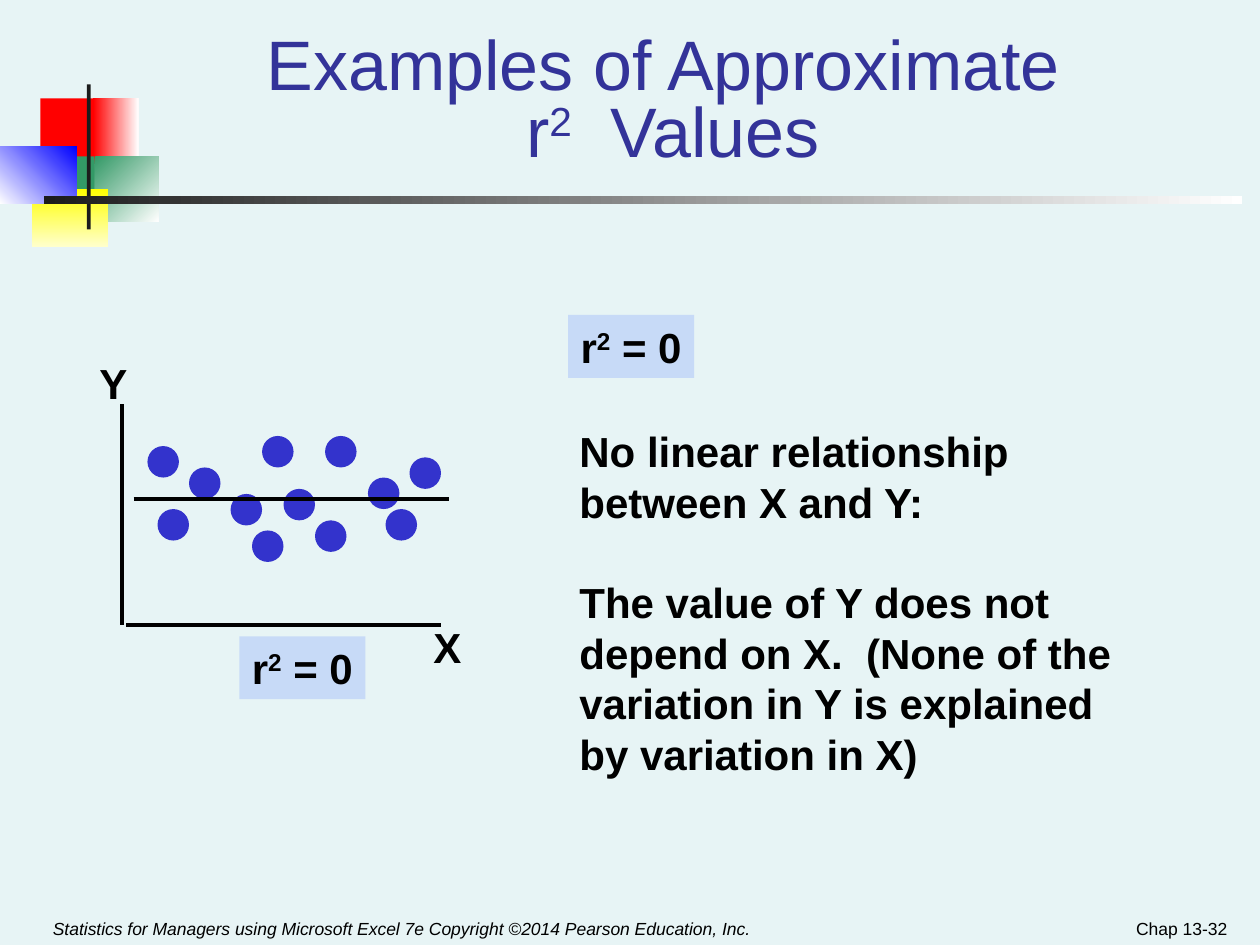
from pptx import Presentation
from pptx.dml.color import RGBColor
from pptx.enum.shapes import MSO_CONNECTOR, MSO_SHAPE
from pptx.enum.text import MSO_ANCHOR, PP_ALIGN
from pptx.oxml.ns import qn
from pptx.util import Emu, Pt
from lxml.etree import SubElement

PX = 9144
FONT = "Arial"
C = {
    "bg": "E7F4F5", "title": "333399", "text": "000000", "label": "C7DAF7",
    "dot": "3333CC", "red": "FF0000", "green": "339966", "yellow": "FFFF00",
    "cream": "FFFFCC", "blue": "0000FF", "dark": "1C1C1C", "white": "FFFFFF",
}

TITLE = [["Examples of Approximate "], ["r", "^2", "  Values"]]
R_SQUARED = ["r", "^2", " = 0"]
EXPLANATION = [
    ["No linear relationship between X and Y:"],
    ["The value of Y does not depend on X.  (None of the variation in Y "
     "is explained by variation in X)"],
]
FOOTER = ("Statistics for Managers using Microsoft Excel 7e "
          "Copyright ©2014 Pearson Education, Inc.")
PAGE = "Chap 13-32"

DECOR = [
    ((32, 78, 48, 52), ["red"], 0),
    ((74, 78, 36, 52), ["red", "white"], 0),
    ((75, 124, 51, 52), ["green", "white"], 45),
    ((43, 124, 32, 52), ["green"], 0),
    ((25, 150, 61, 46), ["yellow", "cream"], 90),
    ((0, 116, 61, 46), ["white", "blue"], 315),
    ((69, 67, 3, 115), ["dark"], 0),
    ((35, 156, 951, 6), ["dark", "white"], 0),
]
DOT_SIZE = 25
DOTS = [(125, 404), (325, 363), (292, 379), (250, 413), (258, 346), (208, 346),
        (117, 354), (150, 371), (183, 392), (225, 388), (200, 421), (306, 404)]
LINES = [(97, 321, 97, 496), (100, 496, 350, 496), (106, 396, 356, 396)]
AXIS_LABELS = [("Y", (69, 279, 42, 50)), ("X", (334, 488, 42, 50))]
VALUE_LABELS = [(451, 250, 100, 50), (190, 505, 100, 50)]


def px(*values):
    return [Emu(v * PX) for v in values]


def rgb(name):
    return RGBColor.from_string(C[name])


def add_filled(s, kind, box, colors, angle=0):
    sp = s.shapes.add_shape(kind, *px(*box))
    sp.shadow.inherit = False
    sp.line.fill.background()
    if len(colors) == 1:
        sp.fill.solid()
        sp.fill.fore_color.rgb = rgb(colors[0])
    else:
        sp.fill.gradient()
        sp.fill.gradient_angle = (360 - angle) % 360
        for stop, name, at in zip(sp.fill.gradient_stops, colors, (0, 1)):
            stop.color.rgb = rgb(name)
            stop.position = at
    return sp


def add_line(s, ends):
    line = s.shapes.add_connector(MSO_CONNECTOR.STRAIGHT, *px(*ends))
    line.line.color.rgb = rgb("text")
    line.line.width = Pt(2)
    SubElement(line._element.spPr, qn("a:effectLst"))


def add_runs(p, texts, size, color="text", bold=False, italic=False):
    for text in texts:
        r = p.add_run()
        r.text = text.lstrip("^")
        r.font.name, r.font.size = FONT, Pt(size)
        r.font.bold, r.font.italic = bold, italic
        r.font.color.rgb = rgb(color)
        if text.startswith("^"):
            r._r.get_or_add_rPr().set("baseline", "30000")


def set_frame(tf, side, anchor=MSO_ANCHOR.TOP, wrap=True):
    tf.margin_left, tf.margin_right, tf.margin_top, tf.margin_bottom = px(side, side, 5, 5)
    tf.vertical_anchor = anchor
    tf.word_wrap = wrap


def fill_bold(tf, paragraphs, wrap=False, align=PP_ALIGN.LEFT):
    set_frame(tf, 10, wrap=wrap)
    for i, texts in enumerate(paragraphs):
        p = tf.add_paragraph() if i else tf.paragraphs[0]
        p.alignment = align
        p.line_spacing = Pt(28.8)
        p.space_before = Pt(28.8 if i else 0)
        add_runs(p, texts, 24, bold=True)


def add_footer(s, box, text, align, italic=False):
    tf = s.shapes.add_textbox(*px(*box)).text_frame
    set_frame(tf, 9, MSO_ANCHOR.BOTTOM)
    tf.paragraphs[0].alignment = align
    add_runs(tf.paragraphs[0], [text], 10, italic=italic)


def add_title(s):
    sp = s.shapes.title
    sp.left, sp.top, sp.width, sp.height = px(108, 33, 852, 108)
    set_frame(sp.text_frame, 9, MSO_ANCHOR.BOTTOM)
    p = sp.text_frame.paragraphs[0]
    p.alignment = PP_ALIGN.CENTER
    p.line_spacing = 0.8
    p.font.size = Pt(40)
    for i, texts in enumerate(TITLE):
        if i:
            p.add_line_break()
        add_runs(p, texts, 40, "title")


def main():
    prs = Presentation()
    prs.slide_width, prs.slide_height = px(1000, 750)
    s = prs.slides.add_slide(prs.slide_layouts[5])
    s.background.fill.solid()
    s.background.fill.fore_color.rgb = rgb("bg")

    for box, colors, angle in DECOR:
        add_filled(s, MSO_SHAPE.RECTANGLE, box, colors, angle)
    add_footer(s, (33, 708, 583, 42), FOOTER, PP_ALIGN.LEFT, italic=True)
    add_footer(s, (750, 715, 233, 35), PAGE, PP_ALIGN.RIGHT)
    add_title(s)

    for x, y in DOTS:
        add_filled(s, MSO_SHAPE.OVAL, (x, y, DOT_SIZE, DOT_SIZE), ["dot"])
    for ends in LINES:
        add_line(s, ends)
    for text, box in AXIS_LABELS:
        fill_bold(s.shapes.add_textbox(*px(*box)).text_frame, [[text]])
    for box in VALUE_LABELS:
        sp = add_filled(s, MSO_SHAPE.RECTANGLE, box, ["label"])
        fill_bold(sp.text_frame, [R_SQUARED])
    sp = s.shapes.add_textbox(*px(450, 333, 458, 290))
    fill_bold(sp.text_frame, EXPLANATION, wrap=True)

    prs.save("out.pptx")


if __name__ == "__main__":
    main()
